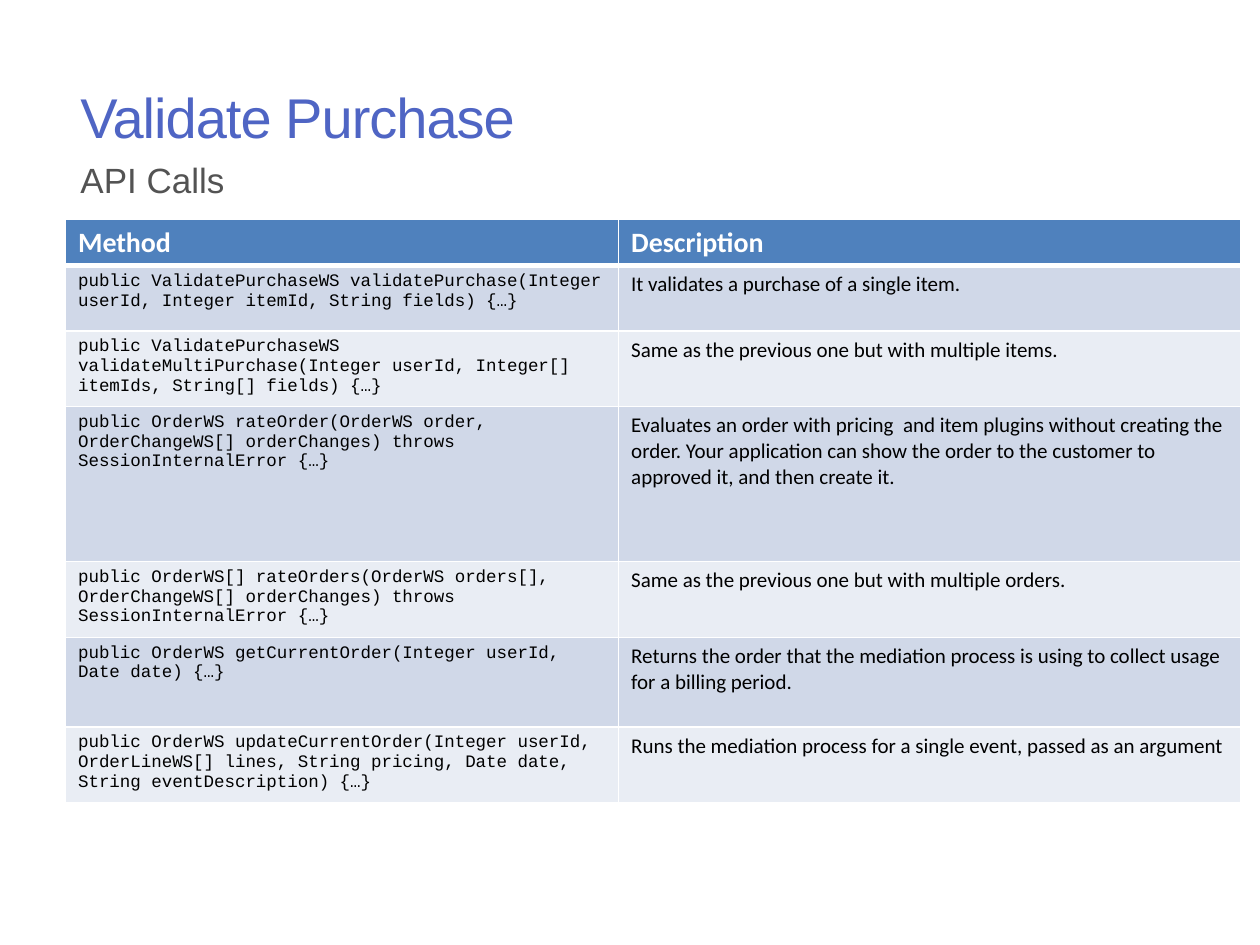
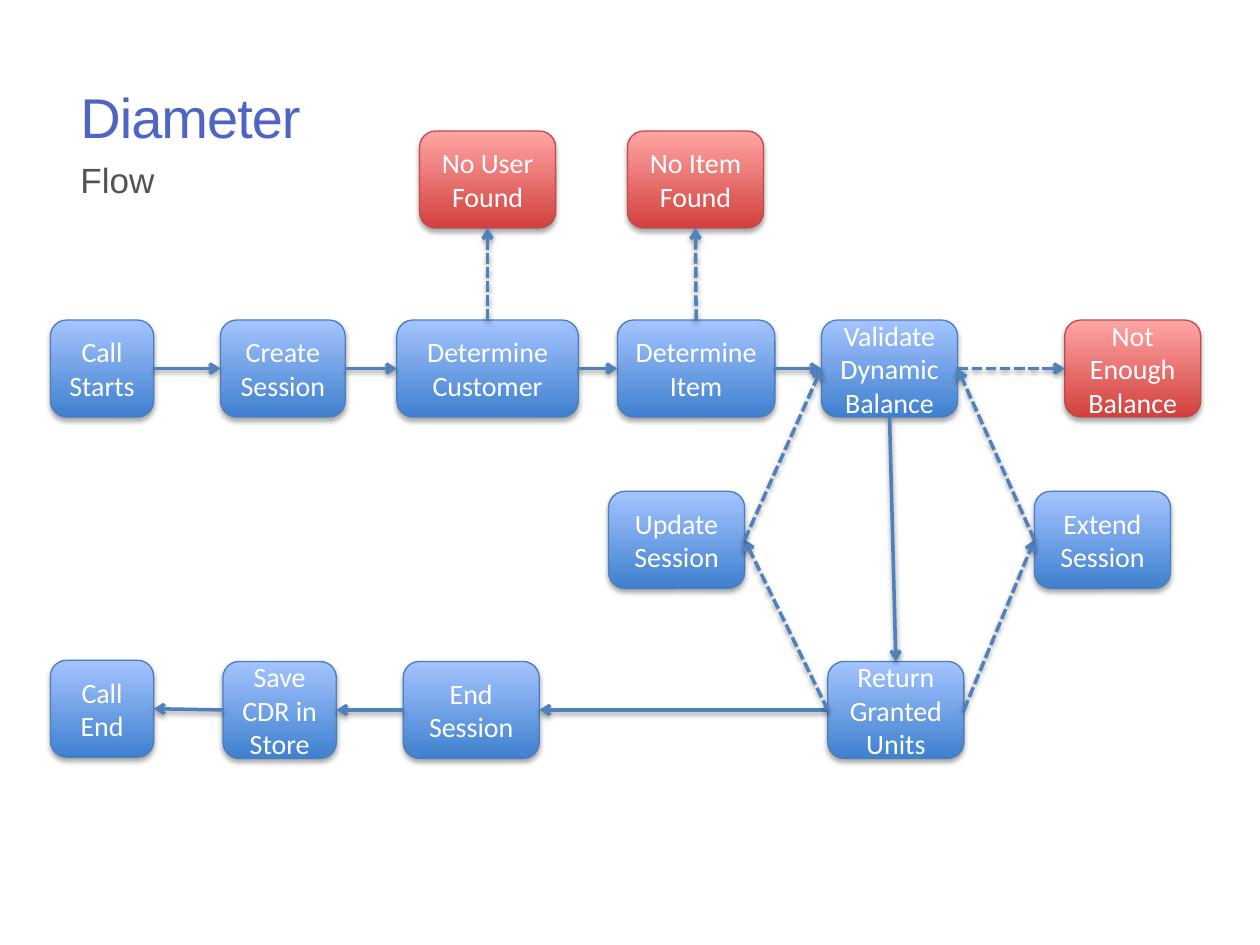
import dataclasses
import typing

import lxml.etree
import pptx
import pptx.dml.color
import pptx.enum.dml
import pptx.enum.shapes
import pptx.enum.text
import pptx.oxml.ns
import pptx.util

WIDE = pptx.util.Inches(10)
HIGH = pptx.util.Inches(7.5)
UNIT = WIDE / 100


@dataclasses.dataclass(frozen=True)
class Theme:
    sans: str = "Arial"
    body: str = "Calibri"
    mono: str = "Courier New"
    title: str = "4F65C4"
    sub: str = "535353"
    head: str = "4F81BD"
    bands: tuple[str, str] = ("D0D8E8", "E9EDF4")
    white: str = "FFFFFF"
    black: str = "000000"
    blue: tuple[str, str, str] = ("3F80CE", "A4C4FF", "4B7EBC")
    red: tuple[str, str, str] = ("D1403C", "FFA6A5", "BF4C48")
    huge: int = 32
    large: int = 20
    mid: int = 16
    small: int = 12
    code: int = 10


THEME = Theme()


@dataclasses.dataclass(frozen=True)
class Box:
    text: str
    col: float
    row: float
    width: float = 10.8
    bad: bool = False


class Link(typing.NamedTuple):
    start: str
    out: int
    end: str
    into: int
    dashed: bool = False


def grid(count: float) -> int:
    return round(count * UNIT)


def tint(code: str) -> pptx.dml.color.RGBColor:
    return pptx.dml.color.RGBColor.from_string(code)


def write(frame: typing.Any, text: str, font: str, size: int, hue: str,
          bold: bool = False) -> typing.Any:
    frame.text = text
    frame.word_wrap = True
    par = frame.paragraphs[0]
    face = par.runs[0].font
    face.name, face.size, face.bold = font, pptx.util.Pt(size), bold
    face.color.rgb = tint(hue)
    return par


def add(node: typing.Any, tag: str, **facts: str) -> typing.Any:
    return lxml.etree.SubElement(node, pptx.oxml.ns.qn(tag), facts)


def shade(props: typing.Any, share: int, drop: float) -> None:
    node = props.find(pptx.oxml.ns.qn("a:effectLst"))
    if node is None:
        node = add(props, "a:effectLst")
    cast = add(node, "a:outerShdw", blurRad=str(pptx.util.Pt(3.1)),
               dist=str(pptx.util.Pt(drop)), dir="5400000", rotWithShape="0")
    hue = add(cast, "a:srgbClr", val=THEME.black)
    add(hue, "a:alpha", val=str(share * 1000))


def start(deck: typing.Any, title: str, sub: str) -> typing.Any:
    slide = deck.slides.add_slide(deck.slide_layouts[6])
    top = slide.shapes.add_textbox(grid(5.4), grid(5.1), grid(70), grid(8.3))
    par = write(top.text_frame, title, THEME.sans, THEME.huge, THEME.title)
    top.text_frame.vertical_anchor = pptx.enum.text.MSO_ANCHOR.MIDDLE
    par.runs[0].font._element.set("spc", "-60")
    low = slide.shapes.add_textbox(grid(5.4), grid(12.1), grid(70), grid(5))
    par = write(low.text_frame, sub, THEME.sans, THEME.large, THEME.sub)
    par.space_before = pptx.util.Pt(THEME.large * 0.2)
    return slide


def edge(cell: typing.Any, row: int) -> None:
    props = cell._tc.get_or_add_tcPr()
    for spot, side in enumerate("LRTB"):
        thick = 3 if (row, side) in ((0, "B"), (1, "T")) else 1
        line = add(props, f"a:ln{side}", w=str(pptx.util.Pt(thick)))
        add(add(line, "a:solidFill"), "a:srgbClr", val=THEME.white)
        props.insert(spot, line)


def chart(slide: typing.Any, rows: list[tuple[str, str]],
          cols: tuple[float, ...], highs: tuple[float, ...]) -> None:
    table = slide.shapes.add_table(
        len(rows), len(cols), grid(5.2), grid(17.4),
        grid(sum(cols)), grid(sum(highs))).table
    table.horz_banding = False
    for spot, wide in enumerate(cols):
        table.columns[spot].width = grid(wide)
    for row, (pair, high) in enumerate(zip(rows, highs)):
        table.rows[row].height = grid(high)
        for col, text in enumerate(pair):
            cell = table.cell(row, col)
            cell.fill.solid()
            cell.fill.fore_color.rgb = tint(
                THEME.bands[(row - 1) % 2] if row else THEME.head)
            edge(cell, row)
            if row == 0:
                write(cell.text_frame, text, THEME.body, THEME.mid,
                      THEME.white, True)
            elif col == 0:
                write(cell.text_frame, text, THEME.mono, THEME.code,
                      THEME.black)
            else:
                write(cell.text_frame, text, THEME.body, THEME.small,
                      THEME.black)


def block(slide: typing.Any, box: Box) -> typing.Any:
    shape = slide.shapes.add_shape(
        pptx.enum.shapes.MSO_SHAPE.ROUNDED_RECTANGLE,
        grid(box.col), grid(box.row), grid(box.width), grid(7.7))
    *ramp, rim = THEME.red if box.bad else THEME.blue
    shape.fill.gradient()
    shape.fill.gradient_angle = 90
    for stop, hue in zip(shape.fill.gradient_stops, ramp):
        stop.color.rgb = tint(hue)
    shape.line.color.rgb = tint(rim)
    shape.line.width = pptx.util.Pt(0.75)
    shape.shadow.inherit = False
    shade(shape.element.spPr, 35, 1.8)
    par = write(shape.text_frame, box.text, THEME.body, THEME.mid,
                THEME.white)
    par.alignment = pptx.enum.text.PP_ALIGN.CENTER
    shape.text_frame.vertical_anchor = pptx.enum.text.MSO_ANCHOR.MIDDLE
    return shape


def join(slide: typing.Any, shapes: dict[str, typing.Any], link: Link) -> None:
    line = slide.shapes.add_connector(
        pptx.enum.shapes.MSO_CONNECTOR.STRAIGHT, 0, 0, 0, 0)
    line.begin_connect(shapes[link.start], link.out)
    line.end_connect(shapes[link.end], link.into)
    line.line.color.rgb = tint(THEME.head)
    line.line.width = pptx.util.Pt(2)
    if link.dashed:
        line.line.dash_style = pptx.enum.dml.MSO_LINE.SQUARE_DOT
    props = line.element.spPr
    add(props.find(pptx.oxml.ns.qn("a:ln")), "a:tailEnd", type="arrow")
    shade(props, 38, 1.6)


CALLS = [
    ("Method", "Description"),
    ("public ValidatePurchaseWS validatePurchase(Integer userId, "
     "Integer itemId, String fields) {…}",
     "It validates a purchase of a single item."),
    ("public ValidatePurchaseWS validateMultiPurchase(Integer userId, "
     "Integer[] itemIds, String[] fields) {…}",
     "Same as the previous one but with multiple items."),
    ("public OrderWS rateOrder(OrderWS order, OrderChangeWS[] orderChanges) "
     "throws SessionInternalError {…}",
     "Evaluates an order with pricing  and item plugins without creating the "
     "order. Your application can show the order to the customer to approved "
     "it, and then create it."),
    ("public OrderWS[] rateOrders(OrderWS orders[], OrderChangeWS[] "
     "orderChanges) throws SessionInternalError {…}",
     "Same as the previous one but with multiple orders."),
    ("public OrderWS getCurrentOrder(Integer userId, Date date) {…}",
     "Returns the order that the mediation process is using to collect usage "
     "for a billing period."),
    ("public OrderWS updateCurrentOrder(Integer userId, OrderLineWS[] lines, "
     "String pricing, Date date, String eventDescription) {…}",
     "Runs the mediation process for a single event, passed as an argument"),
]

ERRORS, MAIN, LOOP, LAST = 10.4, 25.4, 39, 52.5
BOXES = {
    "call": Box("Call Starts", 4, MAIN, 8.2),
    "create": Box("Create Session", 17.5, MAIN, 9.9),
    "who": Box("Determine Customer", 31.5, MAIN, 14.4),
    "item": Box("Determine Item", 49, MAIN, 12.5),
    "check": Box("Validate Dynamic Balance", 65.2, MAIN),
    "poor": Box("Not Enough Balance", 84.5, MAIN, bad=True),
    "nobody": Box("No User Found", 33.3, ERRORS, bad=True),
    "nothing": Box("No Item Found", 49.8, ERRORS, bad=True),
    "grant": Box("Return Granted Units", 65.7, LAST),
    "end": Box("End Session", 32, LAST),
    "extend": Box("Extend Session", 82.1, LOOP),
    "save": Box("Save CDR in Store", 17.7, LAST, 9),
    "update": Box("Update Session", 48.3, LOOP),
    "close": Box("Call End", 4, LAST - 0.1, 8.2),
}

TOP, LEFT, BASE, RIGHT = range(4)
LINKS = [
    Link("call", RIGHT, "create", LEFT),
    Link("create", RIGHT, "who", LEFT),
    Link("who", RIGHT, "item", LEFT),
    Link("item", RIGHT, "check", LEFT),
    Link("who", TOP, "nobody", BASE, True),
    Link("item", TOP, "nothing", BASE, True),
    Link("check", RIGHT, "poor", LEFT, True),
    Link("check", BASE, "grant", TOP),
    Link("grant", LEFT, "end", RIGHT),
    Link("grant", RIGHT, "extend", LEFT, True),
    Link("extend", LEFT, "check", RIGHT, True),
    Link("end", LEFT, "save", RIGHT),
    Link("grant", LEFT, "update", RIGHT, True),
    Link("update", RIGHT, "check", LEFT, True),
    Link("save", LEFT, "close", RIGHT),
]


def main() -> None:
    deck = pptx.Presentation()
    deck.slide_width, deck.slide_height = WIDE, HIGH
    calls = start(deck, "Validate Purchase", "API Calls")
    chart(calls, CALLS, (43.9, 49.4), (3.6, 5.2, 5.7, 12.3, 5.7, 7.1, 5.7))
    flow = start(deck, "Diameter", "Flow")
    shapes = {name: block(flow, box) for name, box in BOXES.items()}
    for link in LINKS:
        join(flow, shapes, link)
    deck.save("out.pptx")


main()
